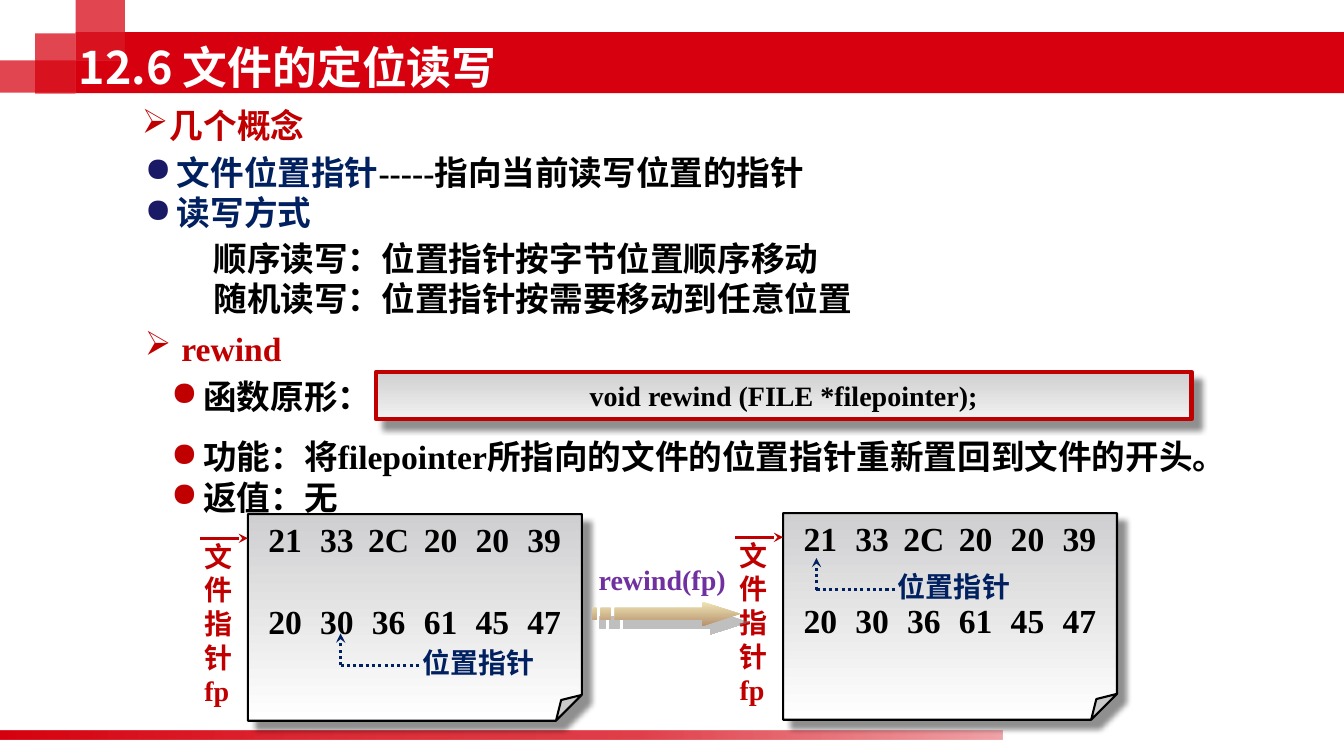
from pptx import Presentation
from pptx.dml.color import RGBColor
from pptx.enum.dml import MSO_LINE
from pptx.enum.shapes import MSO_CONNECTOR, MSO_SHAPE
from pptx.enum.text import MSO_ANCHOR, PP_ALIGN
from pptx.oxml import parse_xml
from pptx.oxml.ns import nsdecls, qn
from pptx.util import Pt

LATIN, HAN = "Times New Roman", "Noto Sans CJK SC"
RED, DARK_RED, NAVY, BLACK = "D7000F", "C00000", "002060", "000000"
PAGE_SHADOW = (BLACK, 43, 4, 8.4)


def rgb(value):
    return RGBColor.from_string(value)


def xml(tag, attrs="", inner=""):
    return parse_xml(f"<a:{tag} {nsdecls('a')} {attrs}>{inner}</a:{tag}>")


def color_xml(value, alpha=100):
    return f'<a:srgbClr val="{value}"><a:alpha val="{alpha * 1000}"/></a:srgbClr>'


class SlideBuilder:
    def __init__(self, slide):
        self.s = slide

    def run(self, p, text, size, color, latin=LATIN):
        r = p.add_run()
        r.text = text
        r.font.size, r.font.bold, r.font.name = Pt(size), True, latin
        r.font.color.rgb = rgb(color)
        r._r.rPr.find(qn("a:latin")).addnext(xml("ea", f'typeface="{HAN}"'))

    def bullet(self, p, char, color, left, hang):
        pPr = p._p.get_or_add_pPr()
        pPr.set("marL", str(Pt(left)))
        pPr.set("indent", str(-Pt(hang)))
        pPr.append(xml("buClr", inner=color_xml(color)))
        pPr.append(xml("buChar", f'char="{char}"'))

    def tabs(self, p, stops):
        inner = "".join(f'<a:tab pos="{Pt(x)}" algn="ctr"/>' for x in stops)
        p._p.get_or_add_pPr().append(xml("tabLst", inner=inner))

    def text(self, x, y, w, h, lines, size=24, color=BLACK, bullet=None):
        """Each line is a string or a list of (text, colour) runs."""
        tf = self.s.shapes.add_textbox(Pt(x), Pt(y), Pt(w), Pt(h)).text_frame
        tf.word_wrap = True
        for i, line in enumerate(lines):
            p = tf.add_paragraph() if i else tf.paragraphs[0]
            if bullet:
                self.bullet(p, *bullet)
            p.line_spacing = Pt(round(size * 1.21))
            for words, tint in ([(line, color)] if isinstance(line, str) else line):
                self.run(p, words, size, tint)

    def finish(self, sp, fill, angle=90, line=None, width=1, shadow=None):
        """fill is a list of (position, colour, alpha); one entry means solid."""
        sp.shadow.inherit = False
        stops = "".join(f'<a:gs pos="{pos * 1000}">{color_xml(c, a)}</a:gs>'
                        for pos, c, a in fill)
        if len(fill) == 1:
            new = xml("solidFill", inner=color_xml(*fill[0][1:]))
        else:
            new = xml("gradFill", 'rotWithShape="1"',
                      f'<a:gsLst>{stops}</a:gsLst><a:lin ang="{angle * 60000}" scaled="0"/>')
        sp.fill.solid()
        spPr = sp.element.spPr
        spPr.replace(spPr.find(qn("a:solidFill")), new)
        if line:
            sp.line.color.rgb, sp.line.width = rgb(line), Pt(width)
        else:
            sp.line.fill.background()
        if shadow:
            c, alpha, blur, dist = shadow
            spPr.find(qn("a:effectLst")).append(xml(
                "outerShdw", f'blurRad="{Pt(blur)}" dist="{Pt(dist)}" dir="2700000" '
                'algn="tl" rotWithShape="0"', color_xml(c, alpha)))
        return sp

    def shape(self, x, y, w, h, fill, kind=MSO_SHAPE.RECTANGLE, **style):
        sp = self.s.shapes.add_shape(kind, Pt(x), Pt(y), Pt(w), Pt(h))
        return self.finish(sp, fill, **style)

    def line(self, x1, y1, x2, y2, color, dotted=False, arrow=False):
        c = self.s.shapes.add_connector(MSO_CONNECTOR.STRAIGHT, Pt(x1), Pt(y1), Pt(x2), Pt(y2))
        c.line.color.rgb, c.line.width = rgb(color), Pt(2.25)
        if dotted:
            c.line.dash_style = MSO_LINE.ROUND_DOT
        if arrow:
            c.element.spPr.find(qn("a:ln")).append(xml("tailEnd", 'type="stealth"'))
        c.element.spPr.append(xml("effectLst"))

    def freeform(self, outlines, fill, **style):
        points = [[(Pt(x), Pt(y)) for x, y in outline] for outline in outlines]
        fb = self.s.shapes.build_freeform(*points[0][0], scale=1.0)
        fb.add_line_segments(points[0][1:], close=True)
        for outline in points[1:]:
            fb.move_to(*outline[0])
            fb.add_line_segments(outline[1:], close=True)
        return self.finish(fb.convert_to_shape(), fill, **style)

    def title(self, text, x, y, w, h):
        sp = self.s.shapes.title
        sp.left, sp.top, sp.width, sp.height = Pt(x), Pt(y), Pt(w), Pt(h)
        sp.text_frame.vertical_anchor = MSO_ANCHOR.MIDDLE
        p = sp.text_frame.paragraphs[0]
        p.alignment = PP_ALIGN.LEFT
        self.run(p, text, 32, "FFFFFF", HAN)
        sp.element.getparent().append(sp.element)  # in front of the banner

    def file_page(self, x, y, mark_x, mark_y):
        """A page of bytes with its file pointer and its position pointer."""
        self.text(x - 38.2, y + 14.4, 39.6, 127.4, ["文件指针fp"], 20, DARK_RED)
        sp = self.shape(x, y, 238.5, 147.6, [(0, "CFCFD1", 100), (100, "FFFFFF", 100)],
                        MSO_SHAPE.FOLDED_CORNER, line=BLACK, width=1.5, shadow=PAGE_SHADOW)
        fold = sp.element.spPr.find(qn("a:prstGeom")).find(qn("a:avLst"))
        fold.append(xml("gd", 'name="adj" fmla="val 12500"'))
        tf = sp.text_frame
        tf.vertical_anchor = MSO_ANCHOR.TOP
        for i, row in enumerate(["21 33 2C 20 20 39", "20 30 36 61 45 47"]):
            p = tf.add_paragraph() if i else tf.paragraphs[0]
            self.tabs(p, [19.5 + 37 * n for n in range(6)])
            p.alignment = PP_ALIGN.LEFT
            if i:
                p.space_before = Pt(30)
            self.run(p, "".join("\t" + byte for byte in row.split()), 24, BLACK)
        self.line(x - 34.2, y + 17.3, x, y + 17.3, DARK_RED, arrow=True)
        mx, my = x + mark_x, y + mark_y
        self.line(mx, my, mx, my - 22.7, NAVY, dotted=True, arrow=True)
        self.line(mx, my, mx + 56.9, my, NAVY, dotted=True)
        self.text(mx + 51.1, my - 18, 108, 31, ["位置指针"], 20, NAVY)


def main():
    prs = Presentation()
    prs.slide_width, prs.slide_height = Pt(960), Pt(540)
    b = SlideBuilder(prs.slides.add_slide(prs.slide_layouts[5]))

    # Banner, corner squares and footer bar
    for box in [(0, 43.2, 89.3, 23), (25.2, 23.8, 28.8, 43.2),
                (54, -1.4, 35.3, 44.6), (54, 23, 35.3, 20.2)]:
        b.shape(*box, [(0, RED, 73)])
    b.shape(89.3, 23, 870.7, 43.6, [(0, RED, 100)])
    b.shape(54, 43.2, 35.3, 23.4, [(0, RED, 100)])
    b.shape(-1.4, 522, 717.8, 6, angle=0,
            fill=[(0, RED, 100), (31, RED, 84), (64, RED, 75), (100, RED, 36)])
    b.title("12.6 文件的定位读写", 49, 23.8, 640.8, 48.2)

    # Concepts
    b.text(94.3, 71.5, 203.8, 36, ["几个概念"], color=DARK_RED,
           bullet=("➢", DARK_RED, 20, 20))
    b.text(77.8, 104.5, 635, 65.5, [
        [("文件位置指针", NAVY), ("-----", BLACK), ("指向当前读写位置的指针", BLACK)],
        [("读写方式", NAVY)]], bullet=("●", "191966", 41.5, 23))
    b.text(145.4, 166, 572.4, 65.5, ["顺序读写：位置指针按字节位置顺序移动",
                                     "随机读写：位置指针按需要移动到任意位置"])

    # The rewind function
    dot = ("●", DARK_RED, 23, 23)
    b.text(96.5, 230.4, 141.8, 36, ["rewind"], color=DARK_RED,
           bullet=("➢", DARK_RED, 26, 26))
    b.text(115.2, 264.5, 170, 36, ["函数原形："], bullet=dot)
    sp = b.shape(268.6, 265.7, 582.5, 33.8, [(0, "CFCFD1", 100), (100, "F2F2F2", 100)],
                 line=DARK_RED, width=3, shadow=PAGE_SHADOW)
    b.run(sp.text_frame.paragraphs[0], "void rewind (FILE *filepointer);", 20, BLACK)
    b.text(115.2, 307.7, 818, 65.5, [
        "功能：将filepointer所指向的文件的位置指针重新置回到文件的开头。",
        "返值：无"], bullet=dot)

    # File before and after the call
    b.file_page(177.1, 367.2, 66.2, 108)
    b.file_page(559.4, 366.5, 23.8, 54.7)

    # Striped arrow for the call
    top, bottom = 434.2, 442.8
    stripes = [[(x1, top), (x1, bottom), (x2, bottom), (x2, top)]
               for x1, x2 in [(429.1, 436.3), (422.6, 426.2)]]
    arrow = [(501.8, 429.8), (501.8, top), (439.2, top), (439.2, bottom),
             (501.8, bottom), (501.8, 447.1), (528.5, 438.5)]
    b.freeform([arrow] + stripes, [(0, "F0E5B7", 100), (100, "B6926D", 100)],
               shadow=("808080", 50, 0, 8.5))
    b.text(420.5, 398.2, 113, 31, ["rewind(fp)"], 20, "7030A0")

    prs.save("out.pptx")


if __name__ == "__main__":
    main()
